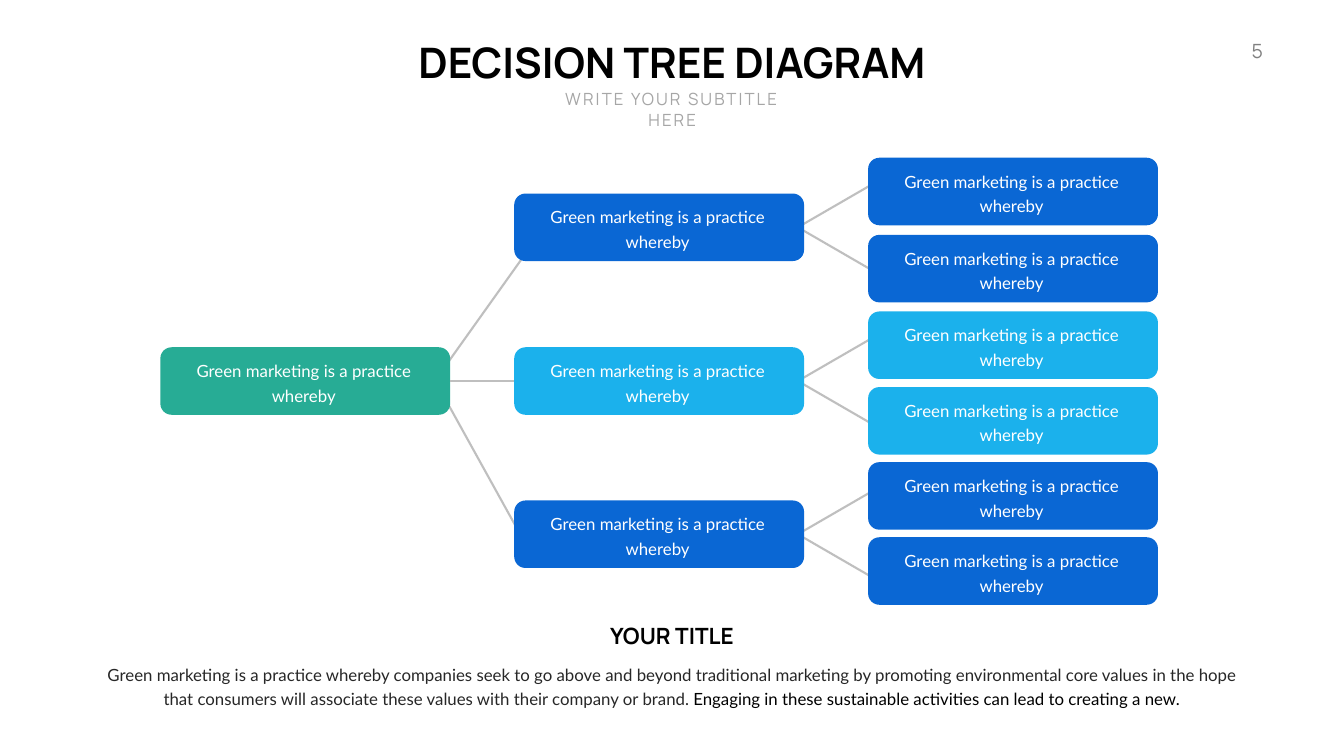
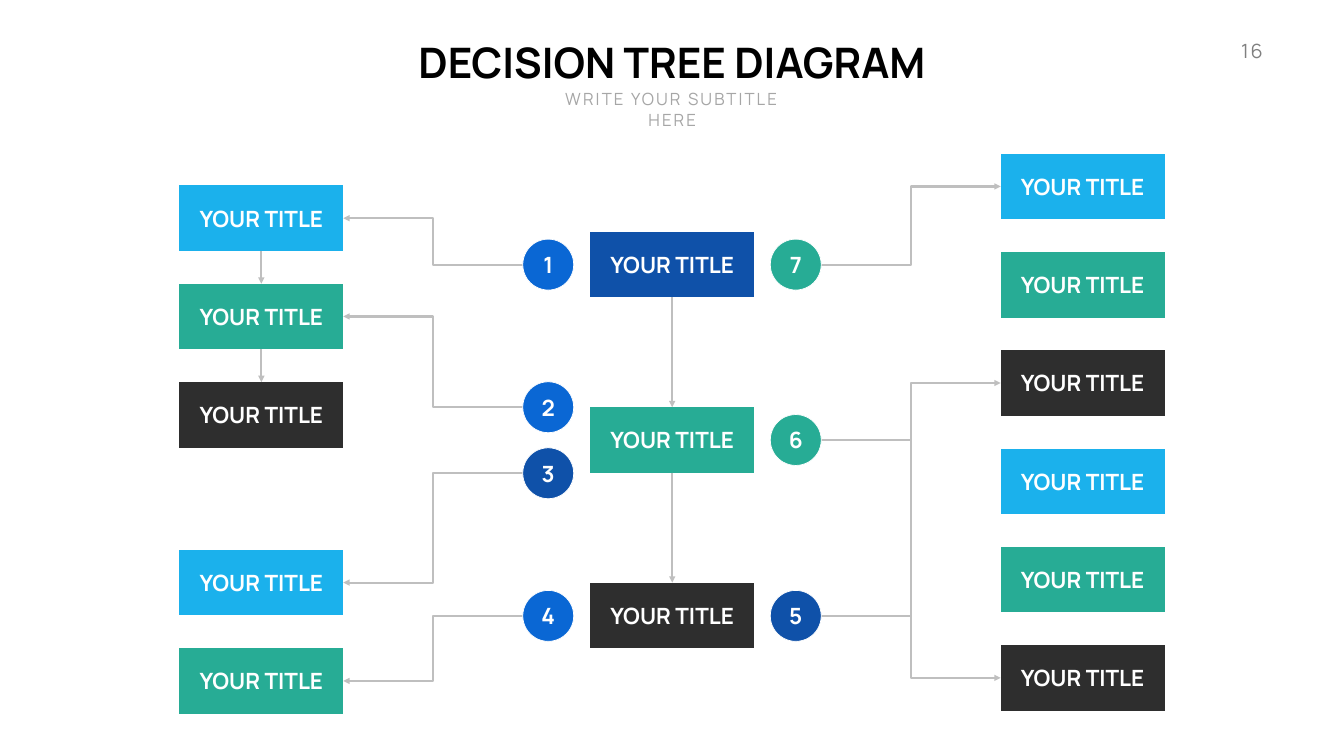
import dataclasses

import pptx
import pptx.dml.color
import pptx.enum.shapes
import pptx.enum.text
import pptx.oxml
import pptx.oxml.ns
import pptx.util

Inches = pptx.util.Inches
Pt = pptx.util.Pt
SHAPE = pptx.enum.shapes.MSO_SHAPE
CONNECTOR = pptx.enum.shapes.MSO_CONNECTOR
ALIGN = pptx.enum.text.PP_ALIGN
ANCHOR = pptx.enum.text.MSO_ANCHOR

TOP, LEFT, BOTTOM, RIGHT = range(4)


@dataclasses.dataclass(frozen=True)
class Theme:
    white: str = "FFFFFF"
    black: str = "000000"
    body: str = "272727"
    muted: str = "A6A6A6"
    number: str = "808080"
    line: str = "BFBFBF"
    blue: str = "0A67D4"
    navy: str = "0F51A9"
    sky: str = "1BB1EC"
    green: str = "27AC95"
    dark: str = "2E2E2E"
    head_font: str = "Manrope"
    body_font: str = "Lato"
    title_size: int = 60
    label_size: int = 32
    number_size: int = 28
    body_size: int = 24
    line_width: int = 3
    leading: int = 35


THEME = Theme()
LABEL = dict(size=THEME.label_size, name=THEME.head_font, bold=True)
BODY = dict(size=THEME.body_size, name=THEME.body_font)
LEADING = dict(line_spacing=Pt(THEME.leading), space_before=Pt(4.8))
NODE_TEXT = "Green marketing is a practice whereby"
NODE_TITLE = "YOUR TITLE"


def rgb(value):
    return pptx.dml.color.RGBColor.from_string(value)


def apply(target, values):
    for name, value in values.items():
        setattr(target, name, value)


# Text

def write(shape, spans, align=ALIGN.CENTER, anchor=ANCHOR.TOP, wrap=True,
          margins=(0.1, 0.05, 0.1, 0.05), spacing=None):
    """Fill a shape with one paragraph of (text, colour, font values) spans."""
    frame = shape.text_frame
    sides = ("margin_left", "margin_top", "margin_right", "margin_bottom")
    apply(frame, dict(zip(sides, map(Inches, margins))))
    apply(frame, dict(word_wrap=wrap, vertical_anchor=anchor))
    para = frame.paragraphs[0]
    apply(para, dict(alignment=align, **(spacing or {})))
    for text, color, values in spans:
        span = para.add_run()
        span.text = text
        values = dict(values)
        tracking = values.pop("tracking", None)
        apply(span.font, dict(values, size=Pt(values["size"])))
        span.font.color.rgb = rgb(color)
        if tracking:
            span.font._element.set("spc", str(tracking * 100))


def add_text(page, at, spans, **layout):
    box = page.shapes.add_textbox(*map(Inches, at))
    write(box, spans, **layout)


# Shapes and connectors

def add_node(page, kind, at, color, spans, **layout):
    node = page.shapes.add_shape(kind, *map(Inches, at))
    node.shadow.inherit = False
    node.fill.solid()
    node.fill.fore_color.rgb = rgb(color)
    node.line.fill.background()
    write(node, spans, anchor=ANCHOR.MIDDLE, **layout)
    return node


def add_line(page, start=(0, 0), end=(0, 0), kind=CONNECTOR.STRAIGHT, arrow=False):
    link = page.shapes.add_connector(kind, *map(Inches, (*start, *end)))
    link.line.color.rgb = rgb(THEME.line)
    link.line.width = Pt(THEME.line_width)
    if arrow:
        tail = pptx.oxml.parse_xml(
            '<a:tailEnd %s type="triangle"/>' % pptx.oxml.ns.nsdecls("a"))
        link.line._get_or_add_ln().append(tail)
    link._element.spPr.append(
        pptx.oxml.parse_xml("<a:effectLst %s/>" % pptx.oxml.ns.nsdecls("a")))
    return link


def join(page, first, first_side, second, second_side, arrow=False):
    link = add_line(page, arrow=arrow)
    link.begin_connect(first, first_side)
    link.end_connect(second, second_side)


# Shared page head

def add_page(deck, number):
    page = deck.slides.add_slide(deck.slide_layouts[6])
    small = dict(name=THEME.head_font, tracking=3)
    add_text(page, (24.27, 0.72, 0.88, 0.57),
             [(number, THEME.number, dict(small, size=THEME.number_size))],
             align=ALIGN.RIGHT, wrap=False)
    add_text(page, (8.03, 0.67, 10.6, 1.11),
             [("DECISION TREE DIAGRAM", THEME.black,
               dict(LABEL, size=THEME.title_size))], wrap=False)
    add_text(page, (10.62, 1.72, 5.43, 0.5),
             [("WRITE YOUR SUBTITLE HERE", THEME.muted,
               dict(small, size=THEME.body_size))],
             margins=(0.2, 0.05, 0.2, 0.05))
    return page


# Three-level tree

def add_tree_node(page, left, top, color):
    return add_node(page, SHAPE.ROUNDED_RECTANGLE, (left, top, 5.75, 1.34), color,
                    [(NODE_TEXT, THEME.white, BODY)],
                    margins=(0.44, 0.05, 0.5, 0.05), spacing=LEADING)


def build_tree(deck):
    page = add_page(deck, "5")
    branches = [
        (3.84, THEME.blue, (3.13, 4.66)),
        (6.89, THEME.sky, (6.18, 7.68)),
        (9.93, THEME.blue, (9.17, 10.66)),
    ]
    # Slanted lines lie behind the boxes
    add_line(page, (8.68, 7.48), (10.54, 4.87))
    add_line(page, (8.84, 7.93), (10.39, 10.73))
    for top, _, _ in branches:
        middle = top + 0.67
        for direction in (-1, 1):
            add_line(page, (15.93, middle + direction * 0.06),
                     (17.26, middle + direction * 0.83))

    root = add_tree_node(page, 3.18, 6.89, THEME.green)
    nodes = []
    for top, color, leaves in branches:
        nodes.append(add_tree_node(page, 10.2, top, color))
        for leaf_top in leaves:
            add_tree_node(page, 17.22, leaf_top, color)
    join(page, root, RIGHT, nodes[1], LEFT)

    # Caption
    add_text(page, (11.99, 12.3, 2.68, 0.64),
             [(NODE_TITLE, THEME.black, LABEL)], wrap=False)
    add_text(page, (1.66, 12.98, 23.33, 1.18), [
        ("Green marketing is a practice whereby companies seek to go above and "
         "beyond traditional marketing by promoting environmental core values in "
         "the hope that consumers will associate these values with their company "
         "or brand. ", THEME.body, BODY),
        ("Engaging in these sustainable activities can lead to creating a new.",
         THEME.black, BODY),
    ], margins=(0.24, 0.12, 0.24, 0.12), spacing=LEADING)


# Numbered flow

def add_column(page, left, top, step, colors):
    return [add_node(page, SHAPE.FLOWCHART_PROCESS,
                     (left, top + step * row, 3.25, 1.3), color,
                     [(NODE_TITLE, THEME.white, LABEL)], wrap=False)
            for row, color in enumerate(colors)]


def add_badge(page, number, left, middle, color):
    size = 1.01
    badge = add_node(page, SHAPE.OVAL, (left, middle - size / 2, size, size), color,
                     [(number, THEME.white, LABEL)], wrap=False)
    badge.line.color.rgb = rgb(THEME.white)
    badge.line.width = Pt(1)


def build_flow(deck):
    page = add_page(deck, "16")
    cycle = [THEME.sky, THEME.green, THEME.dark]
    step = 1.95
    upper = add_column(page, 3.56, 3.68, step, cycle)
    lower = add_column(page, 3.56, 10.91, step, cycle[:2])
    center = add_column(page, 11.71, 4.6, 3.48,
                        [THEME.navy, THEME.green, THEME.dark])
    right = add_column(page, 19.85, 3.05, step, cycle * 2)

    # Downward arrows
    for chain in (upper, center):
        for above, below in zip(chain, chain[1:]):
            join(page, above, BOTTOM, below, TOP, arrow=True)

    # Badges and the elbows that leave them
    left_badges = [
        ("1", 5.25, THEME.blue, upper[0]),
        ("2", 8.08, THEME.blue, upper[1]),
        ("3", 9.39, THEME.navy, lower[0]),
        ("4", 12.22, THEME.blue, lower[1]),
    ]
    right_badges = [
        ("5", 12.22, THEME.navy, right[2]),
        ("6", 8.73, THEME.green, right[5]),
        ("7", 5.25, THEME.green, right[0]),
    ]
    sides = [(left_badges, 10.37, 10.37, 6.81), (right_badges, 15.28, 16.29, 19.85)]
    for badges, badge_left, start, end in sides:
        for number, middle, color, target in badges:
            target_middle = (target.top + target.height / 2) / Inches(1)
            add_line(page, (start, middle), (end, target_middle),
                     CONNECTOR.ELBOW, arrow=True)
            add_badge(page, number, badge_left, middle, color)


def main():
    deck = pptx.Presentation()
    deck.slide_width, deck.slide_height = Inches(26.66), Inches(15)
    build_tree(deck)
    build_flow(deck)
    deck.save("out.pptx")


if __name__ == "__main__":
    main()
